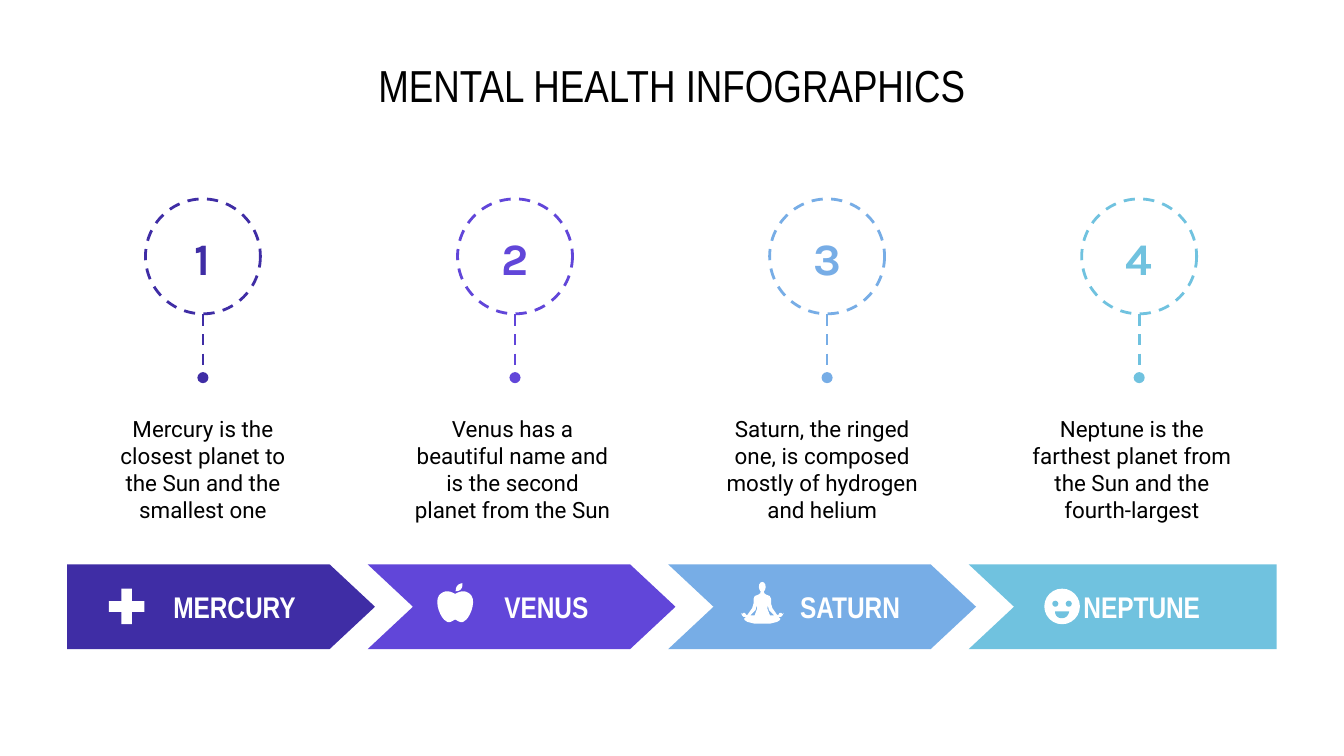
import dataclasses

import pptx
import pptx.dml.color
import pptx.enum.dml
import pptx.enum.shapes
import pptx.enum.text
import pptx.oxml
import pptx.oxml.ns
import pptx.util

SHAPES = pptx.enum.shapes.MSO_SHAPE


@dataclasses.dataclass(frozen=True)
class Theme:
    white: str = "FFFFFF"
    black: str = "000000"
    steps: tuple = ("3F2DA5", "6146D9", "77ADE6", "70C2DF")
    heading_font: str = "Arial Narrow"
    number_font: str = "Karla"
    body_font: str = "Roboto"
    heading_size: int = 24
    label_size: int = 16
    body_size: int = 12
    line_width: float = 1.5


THEME = Theme()

# Grid: 100 columns by 56.25 rows, each a tenth of an inch
CELL = pptx.util.Inches(0.1)
COLUMNS, ROWS = 100, 56.25
ARROW_LEFT, ARROW_PITCH, ARROW_WIDTH, ARROW_POINT = 5, 22.36, 22.9, 3.37
ARROW_TOP, ARROW_HEIGHT = 42, 6.3
CIRCLE_CENTER, CIRCLE_PITCH, CIRCLE_SIZE = 15.1, 23.22, 8.55
TEXT_LEFT, TEXT_PITCH, TEXT_WIDTH = 6.7, 23.04, 16.8

# Name, left column of the name, description
STEPS = (
    ("MERCURY", 11.2, "Mercury is the closest planet to the Sun and the smallest one"),
    ("VENUS", 34.4, "Venus has a beautiful name and is the second planet from the Sun"),
    ("SATURN", 57, "Saturn, the ringed one, is composed mostly of hydrogen and helium"),
    ("NEPTUNE", 78.7, "Neptune is the farthest planet from the Sun and the fourth-largest"),
)

# Left halves of the symmetric icons, as offsets from the top of their axis
APPLE_CURVES = (
    (0, 0.2, -0.3, 0, -0.6, 0),
    (-0.8, 0, -1, 0.1, -1.2, 0.3),
    (-1.6, 0.9, -1, 2.1, -0.7, 2.2),
    (-0.6, 2.3, -0.5, 2.3, -0.5, 2.3),
    (-0.3, 2.3, -0.2, 2.2, 0, 2.1),
)
LEAF_CURVES = ((0.5, 0, 0, 0, 0, 0.6), (0.6, 0.6, 0.5, 0, 0.5, 0))
MOUTH_CURVES = ((-0.5, 0.3, -0.3, 0.5, 0, 0.5), (0.3, 0.5, 0.5, 0.3, 0.55, 0))
BODY_HALF = (
    (0, 0), (-0.13, 0.05), (-0.23, 0.2), (-0.25, 0.4), (-0.2, 0.6),
    (-0.12, 0.7), (-0.15, 0.85), (-0.3, 0.95), (-0.55, 1.05), (-0.65, 1.25),
    (-0.65, 1.6), (-0.75, 1.95), (-1.1, 2.45), (-1.2, 2.45), (-1.3, 2.3),
    (-1.4, 2.3), (-1.5, 2.4), (-1.6, 2.3), (-1.5, 2.5), (-1.4, 2.6),
    (-1.2, 2.6), (-1.35, 2.75), (-1.3, 2.85), (-1.1, 2.98), (-0.6, 3.1), (0, 3.1),
)
ARM_GAP = ((-0.4, 1.7), (-0.38, 2), (-0.5, 2.3), (-0.57, 2.5), (-0.9, 2.5), (-0.5, 2.1))


def cells(count):
    return pptx.util.Emu(round(count * CELL))


def rgb(color):
    return pptx.dml.color.RGBColor.from_string(color)


def fill_plain(shape, color):
    shape.shadow.inherit = False
    shape.fill.solid()
    shape.fill.fore_color.rgb = rgb(color)
    shape.line.fill.background()


def style_dashes(line, color):
    line.color.rgb = rgb(color)
    line.width = pptx.util.Pt(THEME.line_width)
    line.dash_style = pptx.enum.dml.MSO_LINE.DASH


def add_text(slide, box, text, font, size, color, bold=False):
    frame = slide.shapes.add_textbox(*map(cells, box)).text_frame
    frame.word_wrap = True
    frame.vertical_anchor = pptx.enum.text.MSO_ANCHOR.MIDDLE
    frame.margin_left = frame.margin_right = cells(1)
    frame.margin_top = frame.margin_bottom = cells(1)
    paragraph = frame.paragraphs[0]
    paragraph.alignment = pptx.enum.text.PP_ALIGN.CENTER
    run = paragraph.add_run()
    run.text = text
    run.font.name = font
    run.font.size = pptx.util.Pt(size)
    run.font.bold = bold
    run.font.color.rgb = rgb(color)


def add_preset(slide, kind, box, color):
    shape = slide.shapes.add_shape(kind, *map(cells, box))
    fill_plain(shape, color)
    return shape


def add_outline(slide, left, top, contours, color):
    """Draw closed contours given as offsets from one grid point."""
    placed = [[(cells(left + x), cells(top + y)) for x, y in contour]
              for contour in contours]
    builder = slide.shapes.build_freeform(*placed[0][0])
    builder.add_line_segments(placed[0][1:], close=True)
    for contour in placed[1:]:
        builder.move_to(*contour[0])
        builder.add_line_segments(contour[1:], close=True)
    fill_plain(builder.convert_to_shape(), color)


def mirror(points):
    return [(-x, y) for x, y in reversed(points)]


def trace(start, curves, steps=8):
    """Return points along a chain of cubic curves."""
    points = [start]
    for x1, y1, x2, y2, x3, y3 in curves:
        x0, y0 = points[-1]
        for step in range(1, steps + 1):
            t = step / steps
            a, b, c, d = (1 - t) ** 3, 3 * t * (1 - t) ** 2, 3 * t * t * (1 - t), t ** 3
            points.append((a * x0 + b * x1 + c * x2 + d * x3,
                           a * y0 + b * y1 + c * y2 + d * y3))
    return points


def add_marker(slide, index, color):
    center = CIRCLE_CENTER + index * CIRCLE_PITCH
    # Dashed ring with its number
    ring = slide.shapes.add_shape(SHAPES.OVAL, *map(
        cells, (center - CIRCLE_SIZE / 2, 14.8, CIRCLE_SIZE, CIRCLE_SIZE)))
    ring.rotation = 180
    ring.shadow.inherit = False
    ring.fill.background()
    style_dashes(ring.line, color)
    add_text(slide, (center - 3.2, 16.2, 6.4, 5.9), str(index + 1),
             THEME.number_font, THEME.heading_size, color, True)
    # Dashed stem ending in a dot
    stem = slide.shapes.add_connector(
        pptx.enum.shapes.MSO_CONNECTOR.STRAIGHT,
        *map(cells, (center, 23.4, center, 28.1)))
    style_dashes(stem.line, color)
    namespace = pptx.oxml.ns.nsdecls("a")
    stem.line._get_or_add_ln().append(
        pptx.oxml.parse_xml(f'<a:tailEnd {namespace} type="oval"/>'))
    stem._element.spPr.append(pptx.oxml.parse_xml(f"<a:effectLst {namespace}/>"))


def add_arrow(slide, index, color):
    middle, inner = ARROW_HEIGHT / 2, ARROW_WIDTH - ARROW_POINT
    tail = [(ARROW_POINT, middle)] if index > 0 else []
    if index < len(STEPS) - 1:
        head = [(inner, ARROW_HEIGHT), (ARROW_WIDTH, middle), (inner, 0)]
    else:
        head = [(ARROW_WIDTH, ARROW_HEIGHT), (ARROW_WIDTH, 0)]
    add_outline(slide, ARROW_LEFT + index * ARROW_PITCH, ARROW_TOP,
                [[(0, 0), *tail, (0, ARROW_HEIGHT), *head]], color)


def add_icons(slide):
    # Medical cross
    cross = add_preset(slide, SHAPES.CROSS, (8.1, 43.8, 2.65, 2.65), THEME.white)
    cross.adjustments[0] = 0.35
    # Apple and leaf
    half = trace((0, 0.2), APPLE_CURVES)
    add_outline(slide, 33.87, 44, [half + mirror(half)], THEME.white)
    add_outline(slide, 33.9, 43.4, [trace((0.5, 0), LEAF_CURVES)], THEME.white)
    # Meditating figure
    add_outline(slide, 56.72, 43.3,
                [list(BODY_HALF) + mirror(BODY_HALF), ARM_GAP, mirror(ARM_GAP)],
                THEME.white)
    # Smiling face
    add_preset(slide, SHAPES.OVAL, (77.7, 43.8, 2.65, 2.65), THEME.white)
    for left in (78.3, 79.3):
        add_preset(slide, SHAPES.OVAL, (left, 44.7, 0.45, 0.45), THEME.steps[-1])
    add_outline(slide, 79, 45.5, [trace((-0.5, 0), MOUTH_CURVES)], THEME.steps[-1])


def main():
    presentation = pptx.Presentation()
    presentation.slide_width, presentation.slide_height = cells(COLUMNS), cells(ROWS)
    slide = presentation.slides.add_slide(presentation.slide_layouts[6])

    # Title
    add_text(slide, (5, 4.5, 90, 3.6), "MENTAL HEALTH INFOGRAPHICS",
             THEME.heading_font, THEME.heading_size, THEME.black)

    # Steps
    for index, (name, name_left, description) in enumerate(STEPS):
        color = THEME.steps[index]
        add_marker(slide, index, color)
        add_text(slide, (TEXT_LEFT + index * TEXT_PITCH, 29.4, TEXT_WIDTH, 11),
                 description, THEME.body_font, THEME.body_size, THEME.black)
        add_arrow(slide, index, color)
        add_text(slide, (name_left, 43.2, 12.5, 3.8), name,
                 THEME.heading_font, THEME.label_size, THEME.white, True)

    add_icons(slide)
    presentation.save("out.pptx")


if __name__ == "__main__":
    main()
